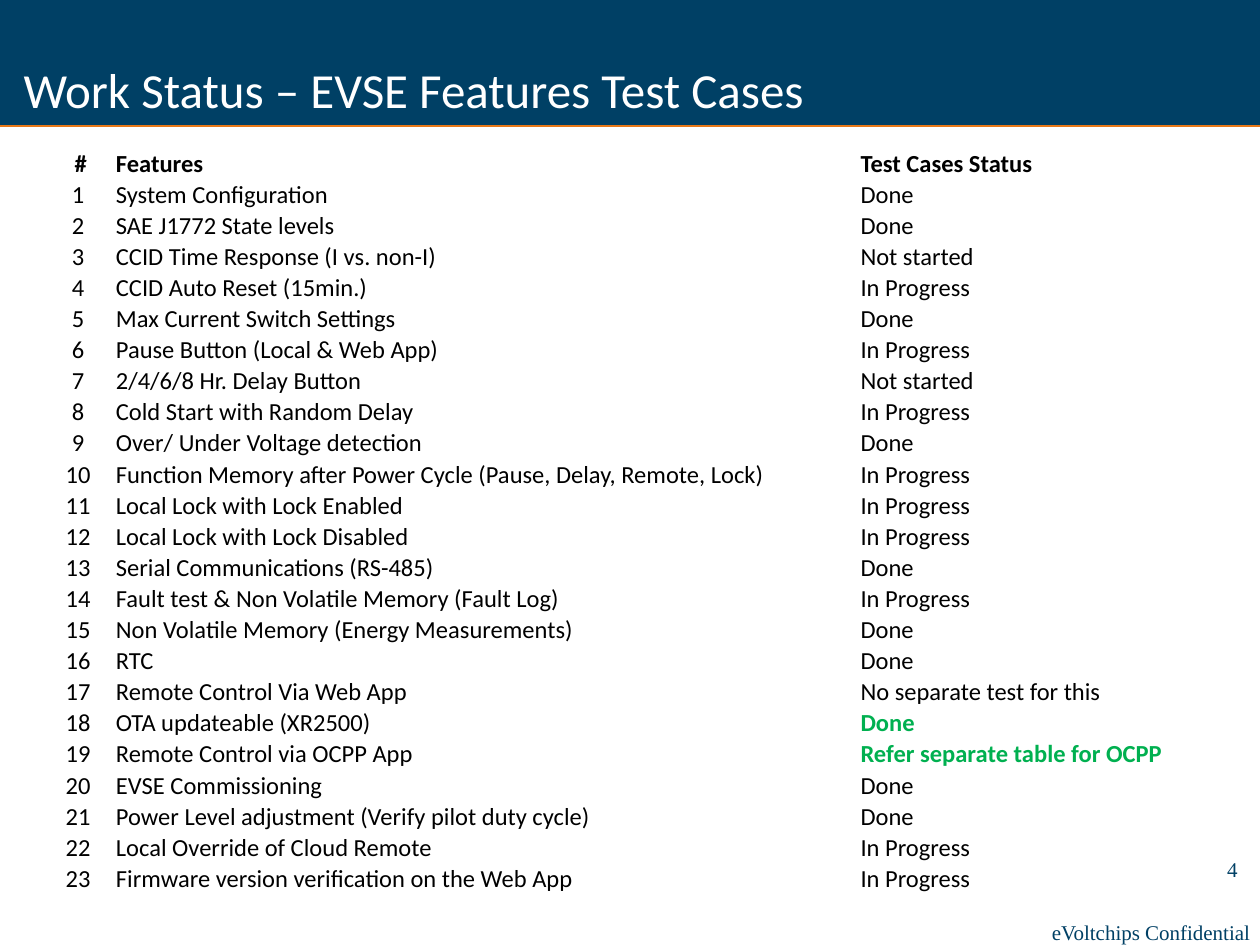
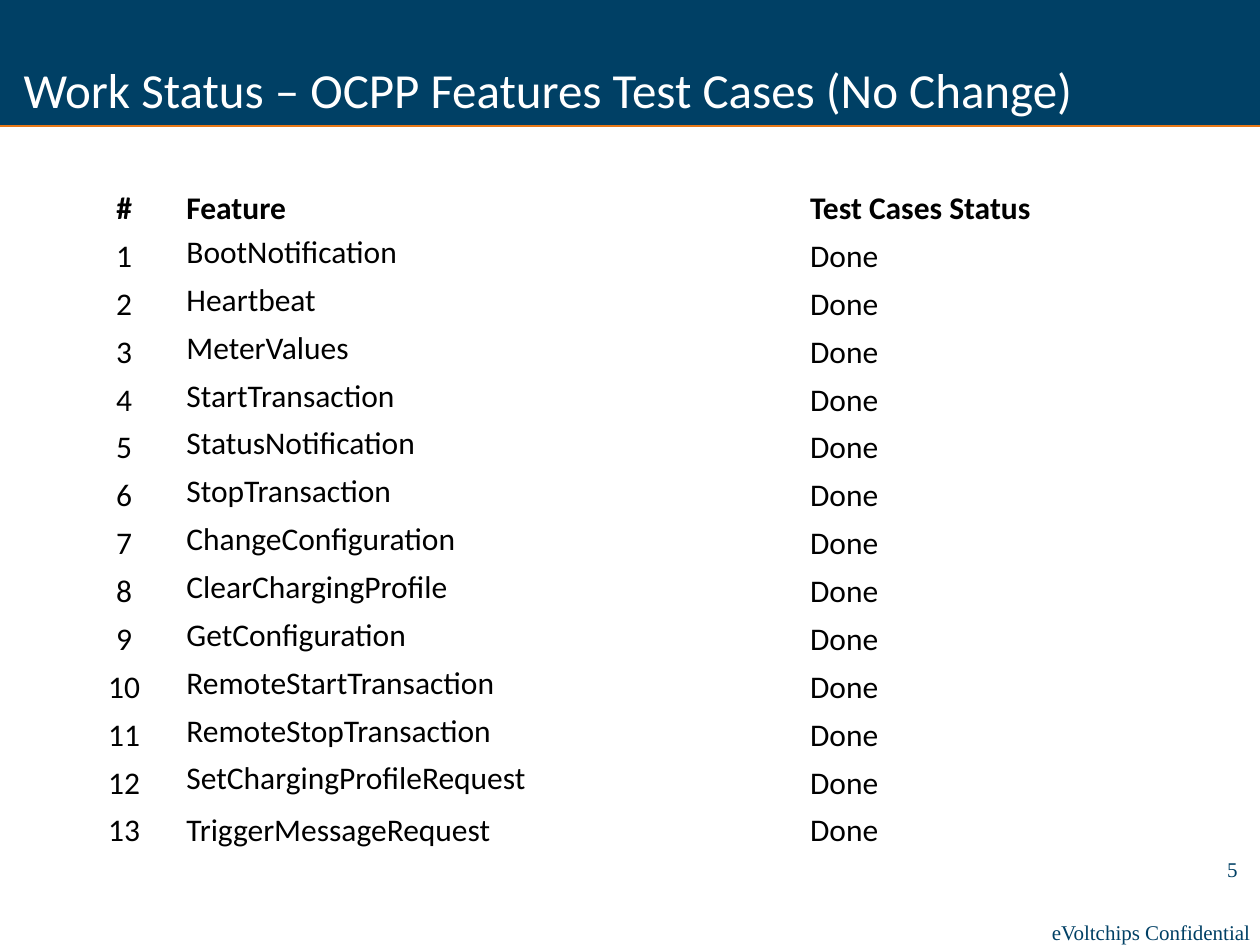
from dataclasses import dataclass

from lxml.etree import SubElement
from pptx import Presentation
from pptx.dml.color import RGBColor
from pptx.enum.shapes import MSO_CONNECTOR, MSO_SHAPE
from pptx.enum.text import MSO_ANCHOR as Anchor, MSO_AUTO_SIZE as AutoSize, PP_ALIGN as Align
from pptx.oxml.ns import qn
from pptx.util import Inches, Pt

NAVY = RGBColor(0x00, 0x40, 0x65)
ORANGE = RGBColor(0xE7, 0x78, 0x17)
GREEN = RGBColor(0x00, 0xB0, 0x50)
WHITE = RGBColor(0xFF, 0xFF, 0xFF)
BLACK = RGBColor(0x00, 0x00, 0x00)

TITLE_FONT = {"name": "Calibri", "size": Pt(28), "color": WHITE, "bold": False}
FOOTER_FONT = {"name": "Times New Roman", "size": Pt(12), "color": NAVY}
CELL_FORMAT = {
    "margin_left": Inches(0.01),
    "margin_right": Inches(0.01),
    "margin_top": Inches(0.01),
    "margin_bottom": Inches(0),
}
TITLE_BOX = {
    "left": Inches(0),
    "top": Inches(0.42),
    "width": Inches(9),
    "height": Inches(0.83),
}
TITLE_FRAME = {
    "vertical_anchor": Anchor.TOP,
    "auto_size": AutoSize.NONE,
    "word_wrap": True,
}
CONFIDENTIAL = "eVoltchips Confidential"


@dataclass
class StatusTable:
    left: float
    top: float
    widths: tuple[float, ...]
    header_height: float
    row_height: float
    font_size: int
    header: tuple[str, str, str]
    features: list[tuple[str, str]]
    highlighted: tuple[int, ...] = ()
    bottom_rows: tuple[int, ...] = (0,)


@dataclass
class StatusSlide:
    number: int
    title: str
    table: StatusTable


EVSE_FEATURES = [
    ("System Configuration", "Done"),
    ("SAE J1772 State levels", "Done"),
    ("CCID Time Response (I vs. non-I)", "Not started"),
    ("CCID Auto Reset (15min.)", "In Progress"),
    ("Max Current Switch Settings", "Done"),
    ("Pause Button (Local & Web App)", "In Progress"),
    ("2/4/6/8 Hr. Delay Button", "Not started"),
    ("Cold Start with Random Delay", "In Progress"),
    ("Over/ Under Voltage detection", "Done"),
    ("Function Memory after Power Cycle (Pause, Delay, Remote, Lock)", "In Progress"),
    ("Local Lock with Lock Enabled", "In Progress"),
    ("Local Lock with Lock Disabled", "In Progress"),
    ("Serial Communications (RS-485)", "Done"),
    ("Fault test & Non Volatile Memory (Fault Log)", "In Progress"),
    ("Non Volatile Memory (Energy Measurements)", "Done"),
    ("RTC", "Done"),
    ("Remote Control Via Web App", "No separate test for this"),
    ("OTA updateable (XR2500)", "Done"),
    ("Remote Control via OCPP App", "Refer separate table for OCPP"),
    ("EVSE Commissioning", "Done"),
    ("Power Level adjustment (Verify pilot duty cycle)", "Done"),
    ("Local Override of Cloud Remote", "In Progress"),
    ("Firmware version verification on the Web App", "In Progress"),
]

OCPP_MESSAGES = [
    "BootNotification",
    "Heartbeat",
    "MeterValues",
    "StartTransaction",
    "StatusNotification",
    "StopTransaction",
    "ChangeConfiguration",
    "ClearChargingProfile",
    "GetConfiguration",
    "RemoteStartTransaction",
    "RemoteStopTransaction",
    "SetChargingProfileRequest",
    "TriggerMessageRequest",
]

SLIDES = [
    StatusSlide(
        4,
        " Work Status – EVSE Features Test Cases",
        StatusTable(
            0.33, 1.17, (0.58, 5.91, 2.84), 0.23, 0.23, 14,
            (" #", "Features", "Test Cases Status"),
            EVSE_FEATURES,
            highlighted=(18, 19),
        ),
    ),
    StatusSlide(
        5,
        " Work Status – OCPP Features Test Cases (No Change)",
        StatusTable(
            0.5, 1.25, (0.97, 4.95, 3.16), 0.56, 0.38, 18,
            ("#", "Feature", "Test Cases Status"),
            [(message, "Done") for message in OCPP_MESSAGES],
            bottom_rows=(0, len(OCPP_MESSAGES)),
        ),
    ),
]


def apply(target, values: dict) -> None:
    for name, value in values.items():
        if name == "color":
            target.color.rgb = value
        else:
            setattr(target, name, value)


def write(tf, text: str, font: dict, align=Align.LEFT) -> None:
    p = tf.paragraphs[0]
    p.alignment = align
    r = p.add_run()
    r.text = text
    apply(r.font, font)


def add_band(slide) -> None:
    sp = slide.shapes.add_shape(MSO_SHAPE.RECTANGLE, 0, 0, Inches(10), Inches(1))
    sp.shadow.inherit = False
    sp.fill.solid()
    sp.fill.fore_color.rgb = NAVY
    sp.line.fill.background()
    rule = slide.shapes.add_connector(
        MSO_CONNECTOR.STRAIGHT, 0, Inches(1), Inches(10), Inches(1)
    )
    rule.line.color.rgb = ORANGE
    rule.line.width = Pt(0.75)
    SubElement(rule.element.spPr, qn("a:effectLst"))


def add_footer(
    slide, left: float, top: float, width: float, text: str, align, wrap: bool
) -> None:
    sp = slide.shapes.add_textbox(Inches(left), Inches(top), Inches(width), Inches(0.3))
    sp.text_frame.word_wrap = wrap
    write(sp.text_frame, text, FOOTER_FONT, align)


def add_title(slide, text: str) -> None:
    sp = slide.shapes.title
    apply(sp, TITLE_BOX)
    apply(sp.text_frame, TITLE_FRAME)
    write(sp.text_frame, text, TITLE_FONT)
    sp.element.getparent().append(sp.element)


def add_borders(cell) -> None:
    tc_pr = cell._tc.get_or_add_tcPr()
    for side in ("lnL", "lnR", "lnT", "lnB"):
        ln = SubElement(tc_pr, qn(f"a:{side}"), w=str(Pt(1)))
        fill = SubElement(ln, qn("a:solidFill"))
        SubElement(fill, qn("a:srgbClr"), val=str(WHITE))


def add_status_table(slide, t: StatusTable) -> None:
    rows = [t.header] + [(str(n), *feature) for n, feature in enumerate(t.features, 1)]
    heights = [t.header_height] + [t.row_height] * len(t.features)
    table = slide.shapes.add_table(
        len(rows), len(t.widths), Inches(t.left), Inches(t.top),
        Inches(sum(t.widths)), Inches(sum(heights)),
    ).table
    for column, width in zip(table.columns, t.widths):
        column.width = Inches(width)
    for i, (row, height) in enumerate(zip(rows, heights)):
        table.rows[i].height = Inches(height)
        for j, text in enumerate(row):
            cell = table.cell(i, j)
            apply(cell, CELL_FORMAT)
            centred = j == 1 and i not in t.bottom_rows
            cell.vertical_anchor = Anchor.MIDDLE if centred else Anchor.BOTTOM
            add_borders(cell)
            cell.fill.solid()
            cell.fill.fore_color.rgb = WHITE
            marked = j == 2 and i in t.highlighted
            font = {
                "name": "Calibri",
                "size": Pt(t.font_size),
                "bold": i == 0 or marked,
                "color": GREEN if marked else BLACK,
            }
            write(cell.text_frame, text, font, Align.LEFT if j else Align.CENTER)


def main() -> None:
    prs = Presentation()
    prs.slide_width, prs.slide_height = Inches(10), Inches(7.5)
    for content in SLIDES:
        slide = prs.slides.add_slide(prs.slide_layouts[5])
        add_band(slide)
        add_footer(slide, 8.25, 7.25, 1.78, CONFIDENTIAL, Align.LEFT, wrap=False)
        add_footer(slide, 9.3, 6.75, 0.62, str(content.number), Align.RIGHT, wrap=True)
        add_title(slide, content.title)
        add_status_table(slide, content.table)
    prs.save("out.pptx")


if __name__ == "__main__":
    main()
